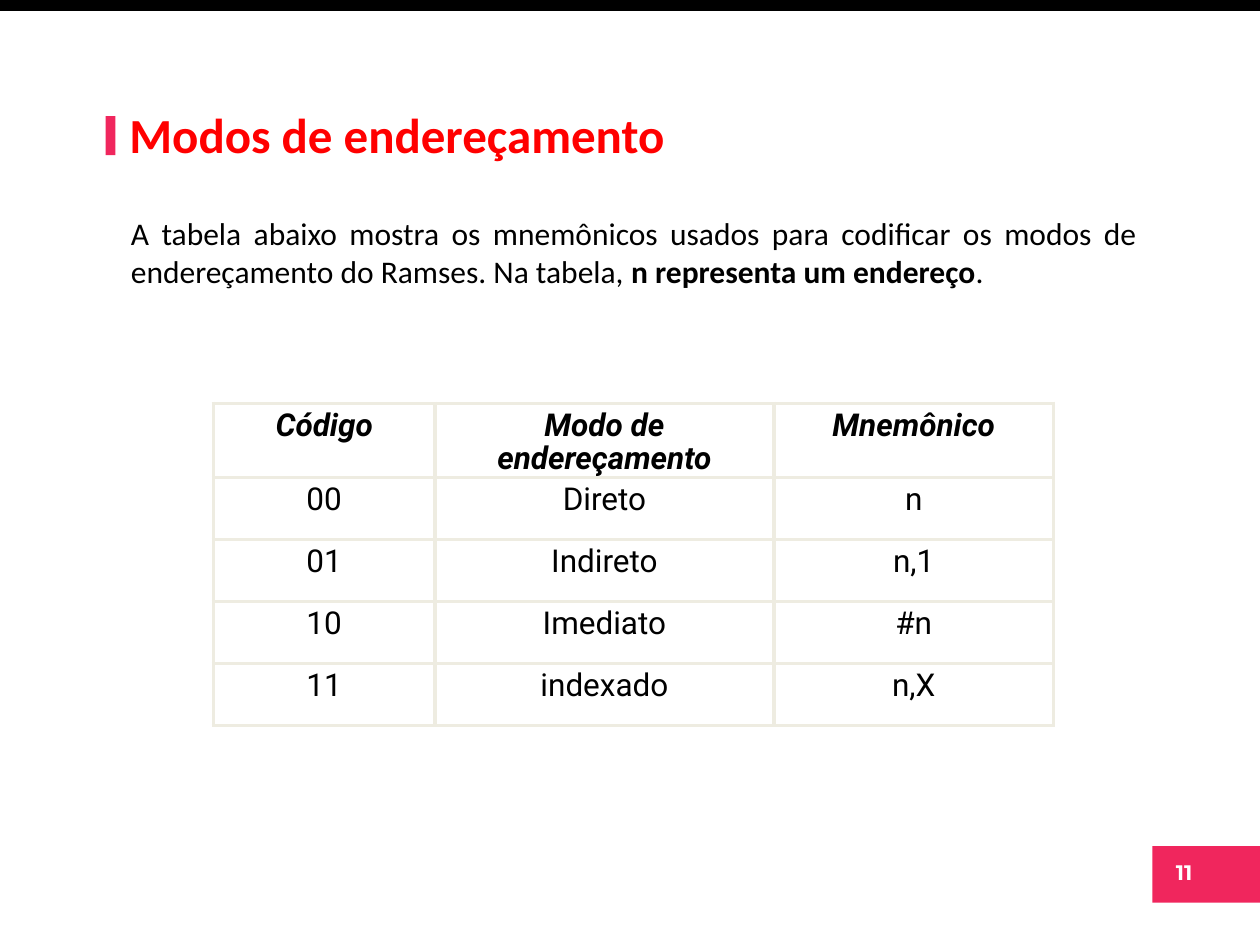
from lxml import etree
from pptx import Presentation
from pptx import util as u
from pptx.dml.color import RGBColor
from pptx.enum import shapes, text
from pptx.oxml import ns

COLOURS = {"black": "000000", "pink": "F0265D", "red": "FF0000",
           "white": "FFFFFF", "border": "EEECE1"}
MODES = [("Código", "Modo de endereçamento", "Mnemônico"),
         ("00", "Direto", "n"),
         ("01", "Indireto", "n,1"),
         ("10", "Imediato", "#n"),
         ("11", "indexado", "n,X")]


def add_block(page, box, colour):
    """Draw a plain filled rectangle in the box."""
    block = page.shapes.add_shape(shapes.MSO_SHAPE.RECTANGLE, *map(u.Cm, box))
    block.shadow.inherit = False
    block.fill.solid()
    block.fill.fore_color.rgb = RGBColor.from_string(COLOURS[colour])
    block.line.fill.background()


def style_para(para, size, face, colour, align, bold=None, italic=None):
    """Set the alignment and font of a paragraph."""
    para.alignment = align
    font = para.font
    font.size, font.name, font.bold, font.italic = u.Pt(size), face, bold, italic
    font.color.rgb = RGBColor.from_string(COLOURS[colour])


def add_text(page, box, spans, size, face, colour, align, bold=None, wrap=True):
    """Write one paragraph of (wording, bold) spans in the box."""
    frame = page.shapes.add_textbox(*map(u.Cm, box)).text_frame
    frame.word_wrap = wrap
    para = frame.paragraphs[0]
    for wording, strong in spans:
        span = para.add_run()
        span.text = wording
        span.font.bold = strong
    style_para(para, size, face, colour, align, bold)


def add_heading(page, left, top):
    """Place the title and the accent bar to its left."""
    add_block(page, (left, top + 0.36, 0.2, 0.79), "pink")
    add_text(page, (left + 0.23, top, 12.73, 1.45),
             [("Modos de endereçamento", None)], 28, "Calibri", "red",
             text.PP_ALIGN.LEFT, bold=True)


def add_intro(page, box):
    """Place the paragraph that introduces the table."""
    spans = [("A tabela abaixo mostra os mnemônicos usados para codificar os "
              "modos de endereçamento do Ramses. Na tabela, ", None),
             ("n representa um endereço", True), (".", None)]
    add_text(page, box, spans, 18, "Calibri", "black", text.PP_ALIGN.JUSTIFY)


def add_borders(cell, colour, width):
    """Draw all four borders of a table cell."""
    props = cell._tc.get_or_add_tcPr()
    for index, side in enumerate(("lnL", "lnR", "lnT", "lnB")):
        line = etree.Element(ns.qn(f"a:{side}"), w=str(u.Pt(width)))
        fill = etree.SubElement(line, ns.qn("a:solidFill"))
        etree.SubElement(fill, ns.qn("a:srgbClr"), val=COLOURS[colour])
        props.insert(index, line)


def add_modes_table(page, left, top, widths, row_height):
    """Place the table of addressing modes."""
    grid = page.shapes.add_table(
        len(MODES), len(widths), u.Cm(left), u.Cm(top),
        u.Cm(sum(widths)), u.Cm(row_height * len(MODES))).table
    grid.horz_banding = False
    for column, width in zip(grid.columns, widths):
        column.width = u.Cm(width)
    for number, (row, values) in enumerate(zip(grid.rows, MODES)):
        row.height = u.Cm(row_height)
        header = number == 0
        for cell, value in zip(row.cells, values):
            cell.text = value
            cell.margin_bottom = 0
            cell.fill.background()
            add_borders(cell, "border", 2.25)
            para = cell.text_frame.paragraphs[0]
            para.line_spacing = 0.9
            style_para(para, 18, "Roboto", "black", text.PP_ALIGN.CENTER,
                       header, header)


def add_page_number(page, left, top):
    """Place the page number on its tab at the right edge."""
    add_block(page, (left, top, 2.18, 1.14), "pink")
    add_text(page, (left + 0.03, top + 0.15, 1.22, 0.76), [("11", None)], 12,
             "Montserrat", "white", text.PP_ALIGN.CENTER, bold=True, wrap=False)


def main():
    """Build the slide and save the deck."""
    deck = Presentation()
    deck.slide_width, deck.slide_height = u.Cm(25.4), u.Cm(19.05)
    page = deck.slides.add_slide(deck.slide_layouts[6])
    add_block(page, (0, 0, 25.4, 0.22), "black")
    add_page_number(page, 23.23, 17.06)
    add_intro(page, (2.39, 4.19, 20.78, 1.78))
    add_modes_table(page, 4.3, 8.13, (4.47, 6.83, 5.64), 1.25)
    add_heading(page, 2.13, 1.98)
    deck.save("out.pptx")


if __name__ == "__main__":
    main()
